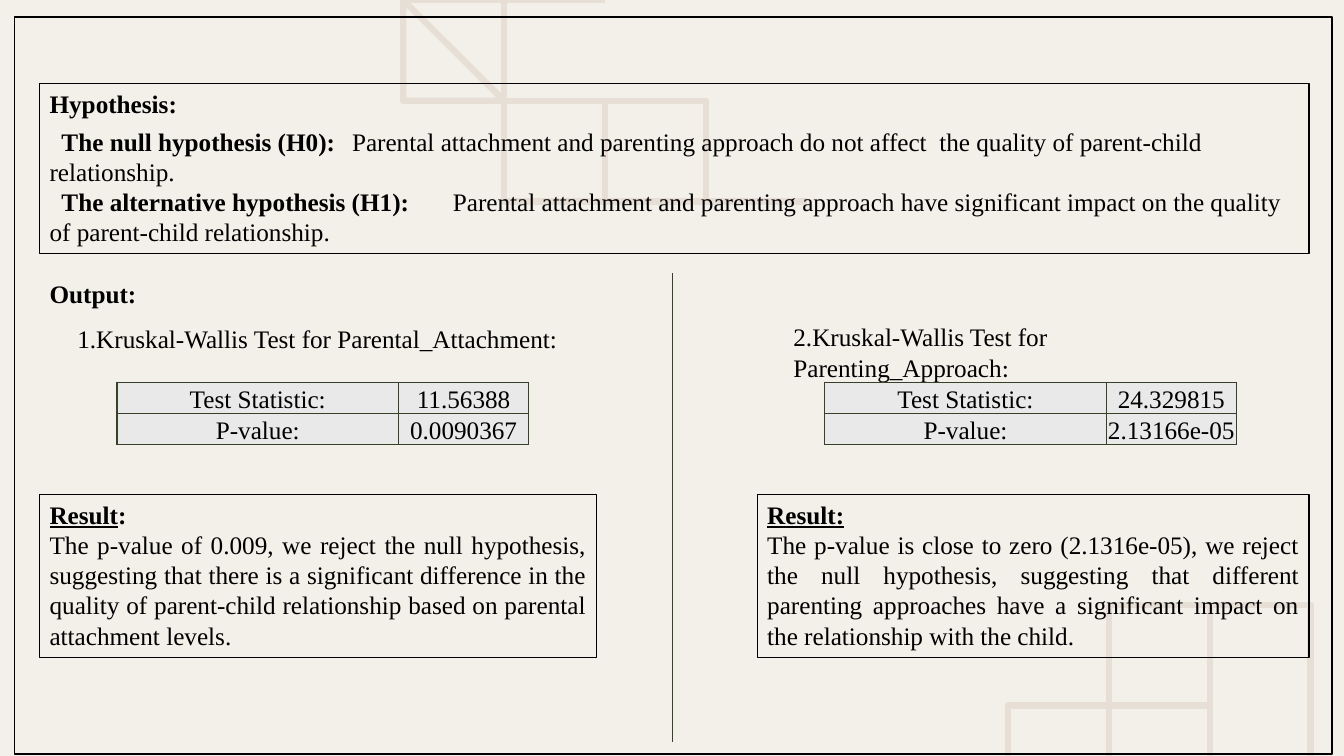
from lxml.etree import SubElement
from pptx import Presentation
from pptx.dml.color import RGBColor
from pptx.enum.shapes import MSO_CONNECTOR, MSO_SHAPE
from pptx.enum.text import MSO_ANCHOR as Anchor, MSO_AUTO_SIZE as AutoSize, PP_ALIGN as Align
from pptx.oxml.ns import qn
from pptx.util import Cm, Pt

CREAM = RGBColor(0xF3, 0xEF, 0xE9)
PETAL = RGBColor(0xE7, 0xDE, 0xD5)
OLIVE = RGBColor(0x37, 0x41, 0x2A)
GREY = RGBColor(0xE8, 0xE9, 0xE8)
BLACK = RGBColor(0, 0, 0)
SERIF = "Times New Roman"

# Strokes run smoothly through these points, in inches; a new stroke starts at each sharp tip.
LEAVES = [
    [(4.34, 0), (5.1, .31), (5.78, .35), (6.45, .48)],
    [(6.45, .48), (6.3, .23), (6.08, 0)],
    [(4.04, 0), (4.55, .57), (4.95, 1.15), (4.92, 1.43), (4.44, .9), (4.14, .29)],
    [(4.14, .29), (4.19, .8), (4.9, 1.88), (5.78, 2.4)],
    [(5.78, 2.4), (5.47, 1.65), (5.2, 1), (4.55, .4)],
    [(4.55, .4), (5.1, .71), (5.67, .86), (7.02, 1.11), (7.77, 1.99), (8.02, 2.34)],
    [(8.02, 2.34), (6.95, 2.24), (6.2, 1.76), (5.62, .99)],
    [(5.62, .99), (6.7, 1.77), (7.08, 1.92), (7.17, 1.8), (6.9, 1.51), (6, 1.07)],
]
FLOWER = [
    [(10.07, 7.5), (9.89, 7.16), (9.94, 6.82), (10.17, 6.67), (10.75, 6.86), (11.52, 7.5)],
    [(11.09, 7.5), (10.67, 6.7), (10.65, 6.25), (10.85, 6), (11.15, 6.06), (11.5, 6.4),
     (12.11, 7.5)],
    [(12.21, 7.5), (12.03, 6.6), (12.03, 6), (12.2, 5.66), (12.5, 5.63), (12.75, 5.95),
     (12.97, 7.5)],
    [(12.62, 7.5), (12.8, 6.2), (13.02, 5.77), (13.33, 5.63)],
]


def smooth(knots, steps=8):
    """Return points of a Catmull-Rom spline through the knots."""
    padded = [knots[0], *knots, knots[-1]]
    points = [knots[0]]
    for a, b, c, d in zip(padded, padded[1:], padded[2:], padded[3:]):
        for step in range(1, steps + 1):
            t = step / steps
            points.append(tuple(
                q + t * (r - p + t * (2 * p - 5 * q + 4 * r - s + t * (3 * q - 3 * r + s - p))) / 2
                for p, q, r, s in zip(a, b, c, d)))
    return points


def add_text(paragraph, text, bold=False, underline=False, font=SERIF):
    run = paragraph.add_run()
    run.text = text
    run.font.name, run.font.size = font, Pt(18)
    run.font.bold, run.font.underline = bold, underline
    run.font.color.rgb = BLACK


prs = Presentation()
prs.slide_width, prs.slide_height = Cm(33.86), Cm(19.05)
slide = prs.slides.add_slide(prs.slide_layouts[6])
slide.background.fill.solid()
slide.background.fill.fore_color.rgb = CREAM
shapes = slide.shapes

for plant in (LEAVES, FLOWER):
    builder = shapes.build_freeform(*plant[0][0], scale=Cm(2.54))
    for stroke in plant:
        builder.move_to(*stroke[0])
        builder.add_line_segments(smooth(stroke)[1:], close=False)
    art = builder.convert_to_shape()
    art.shadow.inherit = False
    art.fill.background()
    art.line.color.rgb, art.line.width = PETAL, Pt(4.5)

# Frame, hypothesis box and the two result boxes
panels = []
for left, top, width, height, weight in [
    (.36, .43, 33.2, 18.57, 1),
    (1, 2.11, 31.98, 4.27, .75),
    (1, 12.45, 14.02, 4.11, .75),
    (19.08, 12.45, 13.9, 4.11, .75),
]:
    panel = shapes.add_shape(MSO_SHAPE.RECTANGLE, Cm(left), Cm(top), Cm(width), Cm(height))
    panel.shadow.inherit = False
    panel.fill.background()
    panel.line.color.rgb, panel.line.width = BLACK, Pt(weight)
    panel.text_frame.word_wrap = True
    panel.text_frame.vertical_anchor = Anchor.TOP
    panel.text_frame.paragraphs[0].alignment = Align.LEFT
    panels.append(panel.text_frame)
frame, hypothesis, *results = panels

add_text(hypothesis.paragraphs[0], "Hypothesis:", bold=True)
for label, statement, tab, gap in [
    ("The null hypothesis (H0):", "Parental attachment and parenting approach do not affect  "
     "the quality of parent-child relationship.", 7.65, 5),
    ("The alternative hypothesis (H1):", "Parental attachment and parenting approach have "
     "significant impact on the quality of parent-child relationship.", 9.38, 0),
]:
    paragraph = hypothesis.add_paragraph()
    paragraph.alignment, paragraph.space_before = Align.LEFT, Pt(gap)
    props = paragraph._p.get_or_add_pPr()
    props.set("indent", str(Cm(.3)))
    tabs = SubElement(props, qn("a:tabLst"))
    SubElement(tabs, qn("a:tab"), pos=str(Cm(tab)), algn="l")
    add_text(paragraph, label + "\t", bold=True)
    add_text(paragraph, statement)

for result, colon_underlined, finding in zip(results, (False, True), (
    "The p-value of 0.009, we reject the null hypothesis, suggesting that there is a significant "
    "difference in the quality of parent-child relationship based on parental attachment levels.",
    "The p-value is close to zero (2.1316e-05), we reject the null hypothesis, suggesting that "
    "different parenting approaches have a significant impact on the relationship with the child.",
)):
    add_text(result.paragraphs[0], "Result", bold=True, underline=True)
    add_text(result.paragraphs[0], ":", bold=True, underline=colon_underlined)
    paragraph = result.add_paragraph()
    paragraph.alignment = Align.JUSTIFY
    add_text(paragraph, finding)

for left, top, width, caption, bold, colon_font in [
    (1, 6.88, 2.72, "Output", True, SERIF),
    (1.7, 8.03, 12.83, "1.Kruskal-Wallis Test for Parental_Attachment", False, SERIF),
    (19.74, 7.98, 12.47, "2.Kruskal-Wallis Test for Parenting_Approach", False, "Calibri"),
]:
    label = shapes.add_textbox(Cm(left), Cm(top), Cm(width), Cm(1.02)).text_frame
    label.word_wrap, label.auto_size = True, AutoSize.SHAPE_TO_FIT_TEXT
    add_text(label.paragraphs[0], caption, bold)
    add_text(label.paragraphs[0], ":", bold, font=colon_font)

for left, statistic, p_value in [(2.95, "11.56388", "0.0090367"),
                                 (20.78, "24.329815", "2.13166e-05")]:
    table = shapes.add_table(2, 2, Cm(left), Cm(9.63), Cm(10.37), Cm(1.58)).table
    table.first_row = table.horz_banding = False
    table.columns[0].width, table.columns[1].width = Cm(7.09), Cm(3.28)
    for row, values in enumerate([("Test Statistic:", statistic), ("P-value:", p_value)]):
        for column, value in enumerate(values):
            cell = table.cell(row, column)
            cell.margin_left = cell.margin_right = cell.margin_top = Cm(.02)
            cell.margin_bottom = 0
            cell.vertical_anchor = Anchor.BOTTOM
            cell.text_frame.paragraphs[0].alignment = Align.CENTER
            add_text(cell.text_frame.paragraphs[0], value)
            cell_props = cell._tc.get_or_add_tcPr()
            for side in ("a:lnL", "a:lnR", "a:lnT", "a:lnB"):
                border = SubElement(cell_props, qn(side), w=str(Pt(1)))
                SubElement(SubElement(border, qn("a:solidFill")), qn("a:srgbClr"), val=str(OLIVE))
            cell.fill.solid()
            cell.fill.fore_color.rgb = GREY

divider = shapes.add_connector(MSO_CONNECTOR.STRAIGHT, Cm(16.94), Cm(6.88), Cm(16.94), Cm(18.69))
divider.line.color.rgb, divider.line.width = OLIVE, Pt(.5)
SubElement(divider._element.spPr, qn("a:effectLst"))

prs.save("out.pptx")
